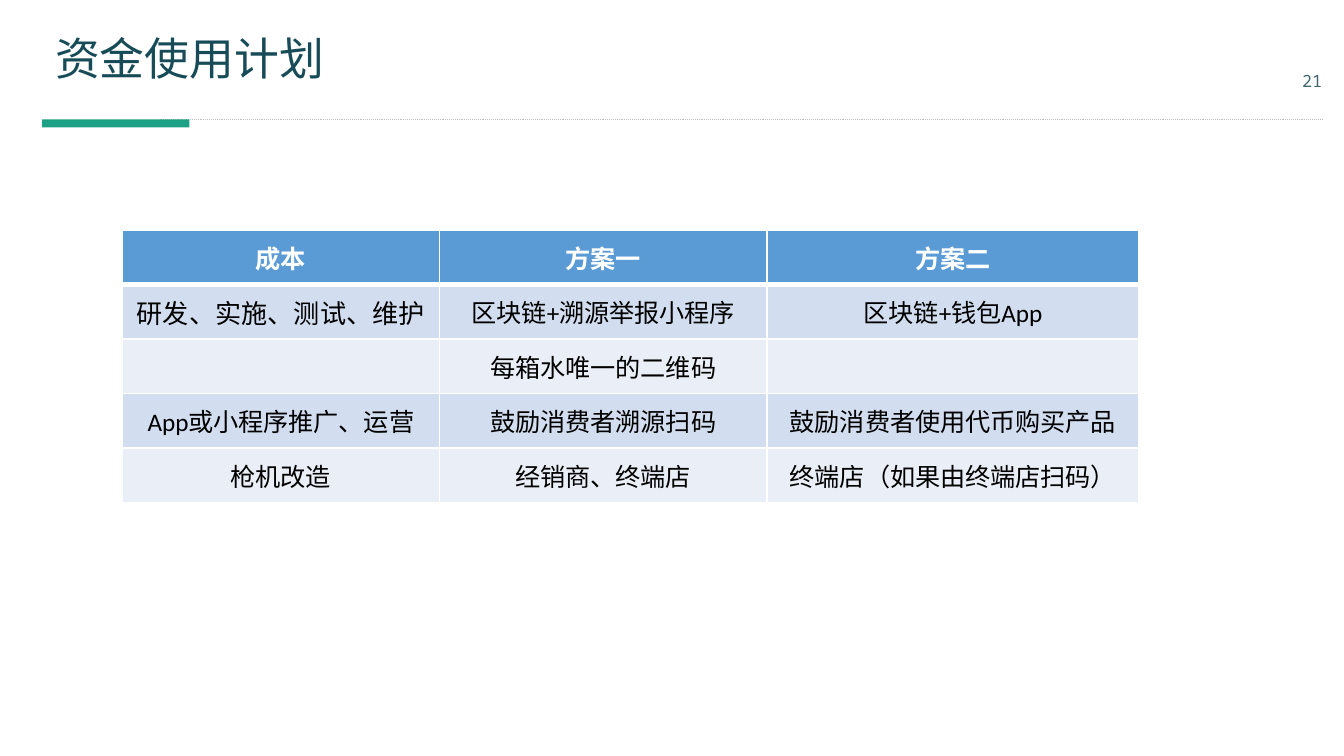
from dataclasses import dataclass
from typing import NamedTuple

from lxml import etree
from pptx import Presentation
from pptx.dml.color import RGBColor
from pptx.enum import dml, shapes, text
from pptx.oxml import ns
from pptx.util import Pt


@dataclass(frozen=True)
class Theme:
    title: str = "174B58"
    number: str = "406671"
    accent: str = "1DA185"
    rule: str = "BFBFBF"
    head: str = "5B9BD5"
    bands: tuple[str, str] = ("D2DEEF", "EAEFF7")
    ink: str = "000000"
    white: str = "FFFFFF"
    sans: str = "Noto Sans CJK SC"
    mono: str = "Noto Sans Mono"
    body: str = "Calibri"
    big: float = 24
    wide: float = 14
    base: float = 13.5
    small: float = 9


class Box(NamedTuple):
    left: float
    top: float
    width: float
    height: float


class Label(NamedTuple):
    box: Box
    words: str
    style: dict


THEME = Theme()
MID = text.PP_ALIGN.CENTER
LABELS = (
    Label(Box(689, 33, 28, 21), "21",
          dict(size=THEME.small, color=THEME.number, font=THEME.mono, align=MID)),
    Label(Box(22.5, 11.5, 592.5, 42.5), "资金使用计划",
          dict(size=THEME.big, color=THEME.title, font=THEME.sans, lead=0.9)),
)
GRID = Box(65.5, 123.1, 544.5, 146.25)
COLS = (170, 175.5, 199)
ROWS = (
    ("成本", "方案一", "方案二"),
    ("研发、实施、测试、维护", "区块链+溯源举报小程序", "区块链+钱包App"),
    ("", "每箱水唯一的二维码", ""),
    ("App或小程序推广、运营", "鼓励消费者溯源扫码", "鼓励消费者使用代币购买产品"),
    ("枪机改造", "经销商、终端店", "终端店（如果由终端店扫码）"),
)


def rgb(code: str) -> RGBColor:
    return RGBColor.from_string(code)


def write(frame, words: str, *, size: float, color: str, font: str,
          bold: bool = False, align=text.PP_ALIGN.LEFT, lead: float = 1) -> None:
    para = frame.paragraphs[0]
    para.alignment, para.line_spacing = align, lead
    run = para.add_run()
    run.text = words
    run.font.size, run.font.bold, run.font.name = Pt(size), bold, font
    run.font.color.rgb = rgb(color)
    east = etree.SubElement(run.font._element, ns.qn("a:ea"))
    east.set("typeface", THEME.sans)


def label(slide, item: Label) -> None:
    frame = slide.shapes.add_textbox(*map(Pt, item.box)).text_frame
    frame.word_wrap = True
    frame.vertical_anchor = text.MSO_ANCHOR.MIDDLE
    write(frame, item.words, **item.style)


def rule(slide) -> None:
    """Draw the dotted header line and its accent bar."""
    line = slide.shapes.add_connector(
        shapes.MSO_CONNECTOR.STRAIGHT, Pt(85.5), Pt(64), Pt(708.5), Pt(64))
    line.line.width = Pt(0.5)
    line.line.color.rgb = rgb(THEME.rule)
    line.line.dash_style = dml.MSO_LINE.ROUND_DOT
    etree.SubElement(line._element.spPr, ns.qn("a:effectLst"))

    bar = slide.shapes.add_shape(
        shapes.MSO_SHAPE.RECTANGLE, Pt(22.5), Pt(64), Pt(79), Pt(4.3))
    bar.shadow.inherit = False
    bar.fill.solid()
    bar.fill.fore_color.rgb = rgb(THEME.accent)
    bar.line.fill.background()


def edge(cell, side: str, width: float) -> None:
    props = cell._tc.get_or_add_tcPr()
    line = etree.SubElement(props, ns.qn(f"a:{side}"), w=str(Pt(width)))
    fill = etree.SubElement(line, ns.qn("a:solidFill"))
    etree.SubElement(fill, ns.qn("a:srgbClr"), val=THEME.white)


def paint(cell, words: str, row: int, col: int) -> None:
    """Fill one table cell with its borders, band colour and text."""
    head = row == 0
    for side in ("lnL", "lnR", "lnT", "lnB"):
        thick = (head and side == "lnB") or (row == 1 and side == "lnT")
        edge(cell, side, 3 if thick else 1)
    cell.fill.solid()
    cell.fill.fore_color.rgb = rgb(THEME.head if head else THEME.bands[(row - 1) % 2])
    cell.vertical_anchor = text.MSO_ANCHOR.MIDDLE
    cell.margin_left = cell.margin_right = Pt(4)
    cell.margin_top = cell.margin_bottom = Pt(0)
    if words:
        write(cell.text_frame, words, font=THEME.body, bold=head, align=MID,
              size=THEME.wide if (row, col) == (1, 0) else THEME.base,
              color=THEME.white if head else THEME.ink)


def table(slide) -> None:
    grid = slide.shapes.add_table(len(ROWS), len(COLS), *map(Pt, GRID)).table
    for col, width in zip(grid.columns, COLS):
        col.width = Pt(width)
    for r, row in enumerate(ROWS):
        grid.rows[r].height = Pt(GRID.height / len(ROWS))
        for c, words in enumerate(row):
            paint(grid.cell(r, c), words, r, c)


def main() -> None:
    deck = Presentation()
    deck.slide_width, deck.slide_height = Pt(720), Pt(405)
    slide = deck.slides.add_slide(deck.slide_layouts[6])
    rule(slide)
    for item in LABELS:
        label(slide, item)
    table(slide)
    deck.save("out.pptx")


if __name__ == "__main__":
    main()
